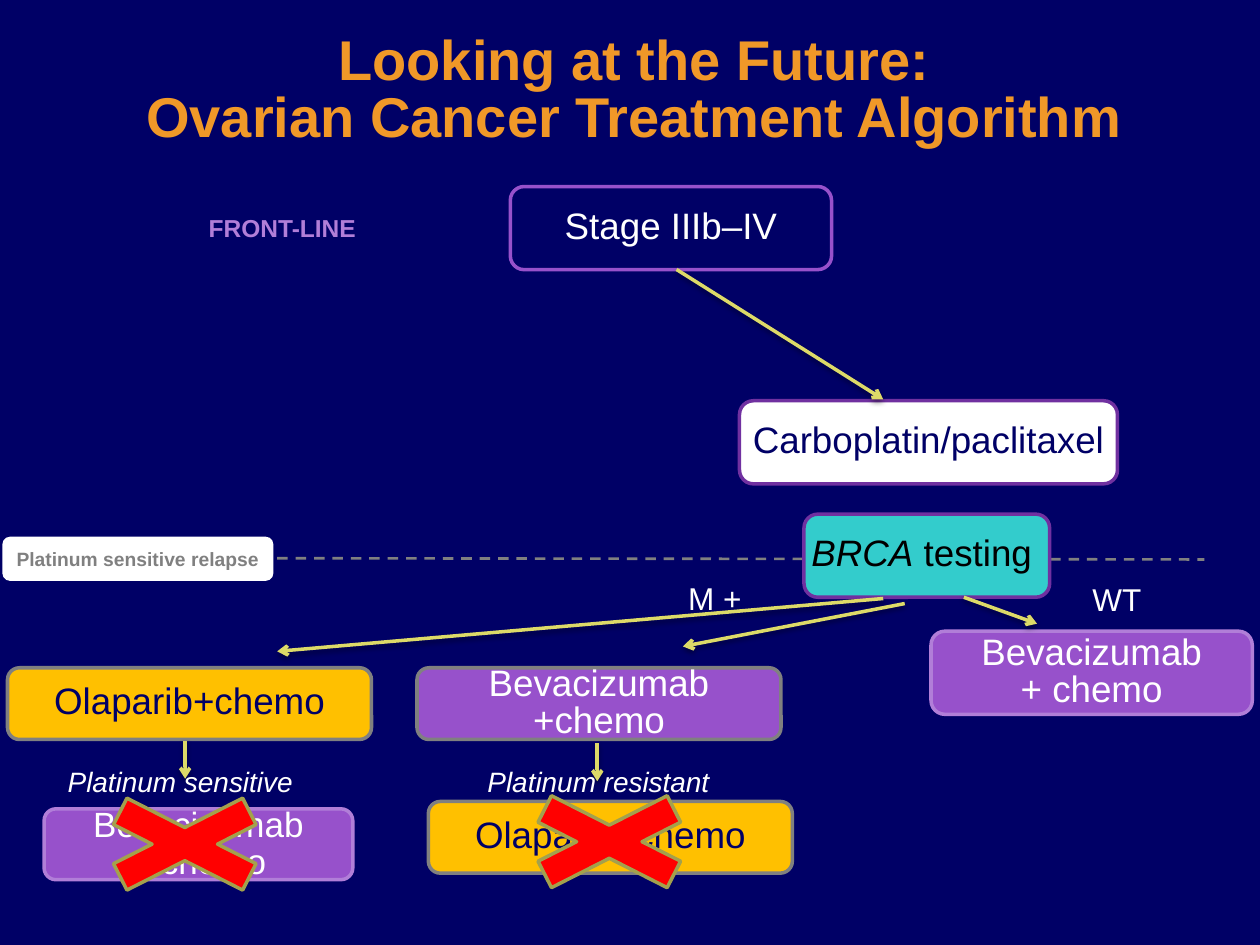
"""Build the ovarian cancer treatment algorithm slide."""
from dataclasses import dataclass

from lxml import etree
from pptx import Presentation
from pptx.dml.color import RGBColor
from pptx.enum.dml import MSO_LINE
from pptx.enum.shapes import MSO_CONNECTOR, MSO_SHAPE
from pptx.enum.text import MSO_ANCHOR, PP_ALIGN
from pptx.oxml.ns import qn
from pptx.util import Pt

ROUND, CROSS = MSO_SHAPE.ROUNDED_RECTANGLE, MSO_SHAPE.MATH_MULTIPLY
STRAIGHT, DASH = MSO_CONNECTOR.STRAIGHT, MSO_LINE.DASH
MIDDLE, CENTER = MSO_ANCHOR.MIDDLE, PP_ALIGN.CENTER


@dataclass(frozen=True)
class Theme:
    font: str = "Arial"
    navy: str = "000066"
    orange: str = "F09828"
    white: str = "FFFFFF"
    black: str = "000000"
    purple: str = "9751CB"
    lilac: str = "B17ED8"
    plum: str = "7030A0"
    gold: str = "FFC000"
    teal: str = "33CCCC"
    gray: str = "808080"
    yellow: str = "DDDA68"
    red: str = "FF0000"
    olive: str = "A3A14D"
    title: int = 32
    box: int = 21
    small_box: int = 20
    branch: int = 18
    response: int = 16
    phase: int = 14
    relapse: int = 11
    stroke: int = 2


T = Theme()


def write(sp, lines, size, color, inset=0, bold=None, italic=None, spacing=None):
    tf = sp.text_frame
    tf.word_wrap = True
    tf.vertical_anchor = MIDDLE
    tf.margin_left = tf.margin_right = Pt(inset)
    tf.margin_top = tf.margin_bottom = Pt(5)
    tf.text = lines
    for p in tf.paragraphs:
        p.alignment = CENTER
        p.line_spacing = spacing
        p.font.name = T.font
        p.font.size = Pt(size)
        p.font.bold = bold
        p.font.italic = italic
        p.font.color.rgb = RGBColor.from_string(color)


def add_shadow(parent, index, blur, dist, angle, alpha):
    effects = etree.Element(qn("a:effectLst"))
    shadow = etree.SubElement(effects, qn("a:outerShdw"), blurRad=str(Pt(blur)),
                              dist=str(Pt(dist)), dir=str(angle * 60000))
    color = etree.SubElement(shadow, qn("a:srgbClr"), val=T.black)
    etree.SubElement(color, qn("a:alpha"), val=str(alpha * 1000))
    parent.insert(index, effects)


prs = Presentation()
prs.slide_width, prs.slide_height = Pt(720), Pt(540)
s = prs.slides.add_slide(prs.slide_layouts[6])
s.background.fill.solid()
s.background.fill.fore_color.rgb = RGBColor.from_string(T.navy)

title = s.shapes.add_textbox(Pt(48), Pt(10), Pt(629), Pt(85))
write(title, "Looking at the Future:\vOvarian Cancer Treatment Algorithm",
      T.title, T.orange, 7.2, bold=True, spacing=0.85)
for r in title.text_frame.paragraphs[0].runs:
    add_shadow(r._r.get_or_add_rPr(), 0, 3, 3, 45, 100)

divider = s.shapes.add_connector(STRAIGHT, Pt(158.4), Pt(319), Pt(688.3), Pt(319.7))
divider.line.color.rgb = RGBColor.from_string(T.gray)
divider.line.width = Pt(1.5)
divider.line.dash_style = DASH
etree.SubElement(divider._element.spPr, qn("a:effectLst"))

boxes = [
    ("Stage IIIb–IV", 291.6, 106.6, 183.6, 47.5, None, T.purple, T.white, T.box, 9.4),
    ("Carboplatin/paclitaxel", 422.6, 229, 216, 47.5, T.white, T.plum, T.navy, T.box, 0),
    ("BRCA testing ", 459.4, 293.8, 140.4, 47.5, T.teal, T.plum, T.black, T.box, 0),
    ("Bevacizumab\n+ chemo", 532, 360.7, 183.6, 47.5, T.purple, T.lilac, T.white, T.box, 0),
    ("Olaparib+chemo", 4.3, 381.6, 208, 41, T.gold, T.gray, T.navy, T.box, 9.4),
    ("Bevacizumab +chemo", 238.3, 381.6, 208, 41, T.purple, T.gray, T.white, T.box, 9.4),
    ("Bevacizumab\n+ chemo", 25.2, 462.2, 176.4, 40.5, T.purple, T.lilac, T.white,
     T.small_box, 0),
    ("Olaparib+chemo", 244.8, 458, 208, 41, T.gold, T.gray, T.navy, T.box, 9.4),
    ("Platinum sensitive relapse", 1.4, 306.7, 154.8, 25.2, T.white, None, T.gray,
     T.relapse, 0),
]
for text, x, y, w, h, fill, line, color, size, inset in boxes:
    sp = s.shapes.add_shape(ROUND, Pt(x), Pt(y), Pt(w), Pt(h))
    sp.shadow.inherit = False
    if fill:
        sp.fill.solid()
        sp.fill.fore_color.rgb = RGBColor.from_string(fill)
    else:
        sp.fill.background()
    if line:
        sp.line.color.rgb = RGBColor.from_string(line)
        sp.line.width = Pt(T.stroke)
    else:
        sp.line.fill.background()
    write(sp, text, size, color, inset, bold=size == T.relapse or None,
          spacing=Pt(21) if line else None)
    if text.startswith("BRCA"):
        p = sp.text_frame.paragraphs[0]
        p.runs[0].text = "BRCA"
        p.runs[0].font.italic = True
        p.add_run().text = " testing "

arrows = [
    (386.6, 154, 504.7, 228.2),
    (504.7, 342, 158.4, 372.2),
    (517, 344.9, 390.2, 369.4),
    (550.8, 341.3, 592.6, 356.4),
    (105.8, 423.4, 105.8, 445),
    (341.3, 424.8, 341.3, 446.4),
]
for x1, y1, x2, y2 in arrows:
    arrow = s.shapes.add_connector(STRAIGHT, Pt(x1), Pt(y1), Pt(x2), Pt(y2))
    arrow.line.color.rgb = RGBColor.from_string(T.yellow)
    arrow.line.width = Pt(T.stroke)
    etree.SubElement(arrow.line._get_or_add_ln(), qn("a:tailEnd"), type="arrow")
    spPr = arrow._element.spPr
    add_shadow(spPr, len(spPr), 3.1, 1.6, 90, 38)

labels = [
    ("FRONT-LINE", 110.2, 116.6, 102.2, 26.6, T.phase, T.lilac, True, None),
    ("M +", 383, 327, 51, 28.8, T.branch, T.white, None, None),
    ("WT", 617, 327.6, 42.5, 28.8, T.branch, T.white, None, None),
    ("Platinum sensitive", 0, 428.4, 206, 36, T.response, T.white, None, True),
    ("Platinum resistant", 239, 428.4, 206, 36, T.response, T.white, None, True),
]
for text, x, y, w, h, size, color, bold, italic in labels:
    label = s.shapes.add_textbox(Pt(x), Pt(y), Pt(w), Pt(h))
    write(label, text, size, color, bold=bold, italic=italic)

for x, y in [(34.6, 446.4), (277.2, 445)]:
    cross = s.shapes.add_shape(CROSS, Pt(x), Pt(y), Pt(142), Pt(72))
    cross.shadow.inherit = False
    cross.fill.solid()
    cross.fill.fore_color.rgb = RGBColor.from_string(T.red)
    cross.line.color.rgb = RGBColor.from_string(T.olive)
    cross.line.width = Pt(T.stroke)

prs.save("out.pptx")
